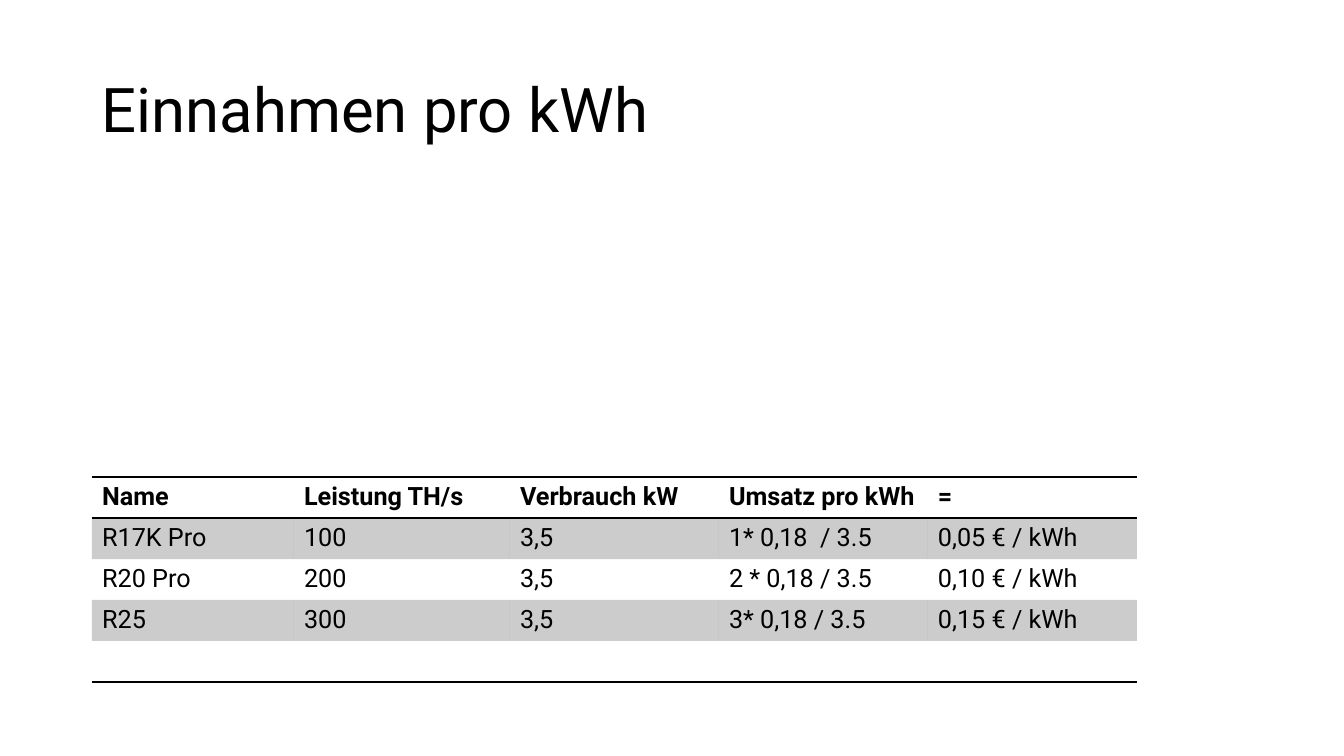
from lxml import etree
from pptx import Presentation
from pptx.dml.color import RGBColor
from pptx.enum.text import MSO_ANCHOR
from pptx.oxml.ns import qn
from pptx.util import Pt

# Content
TITLE = "Einnahmen pro kWh"
ROWS = [
    ("Name", "Leistung TH/s", "Verbrauch kW", "Umsatz pro kWh", "="),
    ("R17K Pro", "100", "3,5", "1* 0,18  / 3.5", "0,05 € / kWh"),
    ("R20 Pro", "200", "3,5", "2 * 0,18 / 3.5", "0,10 € / kWh"),
    ("R25", "300", "3,5", "3* 0,18 / 3.5", "0,15 € / kWh"),
    ("", "", "", "", ""),
]
HEADER_ROW, CLOSING_ROW = 0, len(ROWS) - 1
SHADED_ROWS = (1, 3)

# Layout in px
SLIDE_WIDTH, SLIDE_HEIGHT = 1344, 756
LEFT = 92
TITLE_TOP, TITLE_WIDTH, TITLE_HEIGHT = 40, 1159, 146
TABLE_TOP, ROW_HEIGHT = 477, 41
COLUMN_WIDTHS = [202, 216, 209, 209, 209]

# Style
FONT = "Roboto"
BLACK = RGBColor(0x00, 0x00, 0x00)
SHADE_ALPHA = 20
PLAIN_TABLE_STYLE = "{2D5ABB26-0587-4C30-8999-92F81FD0307C}"
MIDDLE = MSO_ANCHOR.MIDDLE


def px(value):
    return round(value * 914400 / 100.8)


def format_text(paragraph, size, bold=False):
    for run in paragraph.runs:
        run.font.name = FONT
        run.font.size = Pt(size)
        run.font.bold = bold
        run.font.color.rgb = BLACK


def shade(cell):
    cell.fill.solid()
    cell.fill.fore_color.rgb = BLACK
    color = cell.fill._xPr.find(qn("a:solidFill"))[0]
    etree.SubElement(color, qn("a:alpha"), val=str(SHADE_ALPHA * 1000))


def add_borders(cell, sides):
    properties = cell._tc.get_or_add_tcPr()
    for position, side in enumerate(sides):
        line = etree.Element(qn(f"a:ln{side}"), w=str(Pt(1)))
        fill = etree.SubElement(line, qn("a:solidFill"))
        etree.SubElement(fill, qn("a:srgbClr"), val=str(BLACK))
        properties.insert(position, line)


presentation = Presentation()
presentation.slide_width = px(SLIDE_WIDTH)
presentation.slide_height = px(SLIDE_HEIGHT)
slide = presentation.slides.add_slide(presentation.slide_layouts[6])

# Title
title = slide.shapes.add_textbox(px(LEFT), px(TITLE_TOP), px(TITLE_WIDTH), px(TITLE_HEIGHT))
title.text_frame.word_wrap = True
title.text_frame.vertical_anchor = MIDDLE
title.text_frame.text = TITLE
title_paragraph = title.text_frame.paragraphs[0]
title_paragraph.line_spacing = 0.9
format_text(title_paragraph, 44)

# Revenue table
table = slide.shapes.add_table(
    len(ROWS), len(COLUMN_WIDTHS), px(LEFT), px(TABLE_TOP),
    px(sum(COLUMN_WIDTHS)), px(ROW_HEIGHT * len(ROWS)),
).table
table.first_row = False
table.horz_banding = False
table._tbl.tblPr.find(qn("a:tableStyleId")).text = PLAIN_TABLE_STYLE

for column, width in zip(table.columns, COLUMN_WIDTHS):
    column.width = px(width)

for row_index, row in enumerate(ROWS):
    table.rows[row_index].height = px(ROW_HEIGHT)
    for column_index, text in enumerate(row):
        cell = table.cell(row_index, column_index)
        cell.text_frame.text = text
        format_text(cell.text_frame.paragraphs[0], 18, row_index == HEADER_ROW)
        if row_index in SHADED_ROWS:
            shade(cell)
        else:
            cell.fill.background()
        if row_index == HEADER_ROW:
            add_borders(cell, "TB")
        elif row_index == CLOSING_ROW:
            add_borders(cell, "B")

presentation.save("out.pptx")
